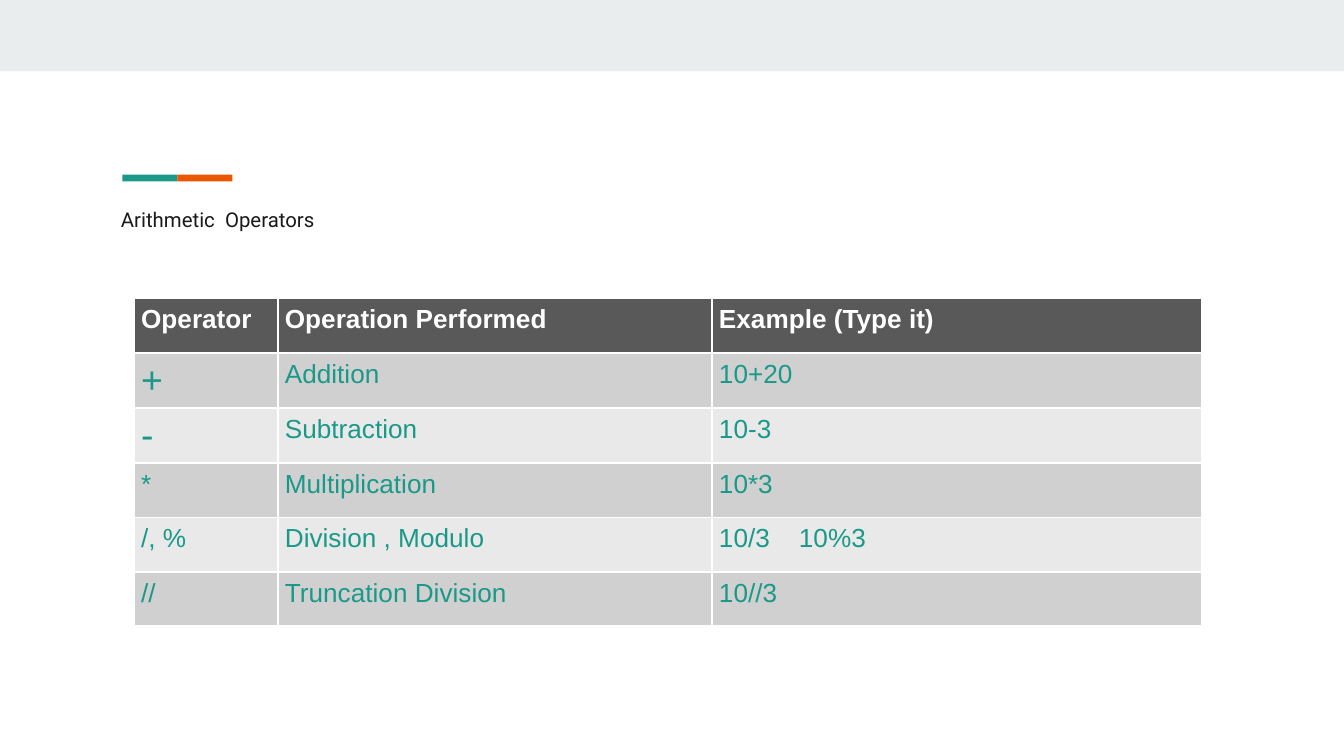
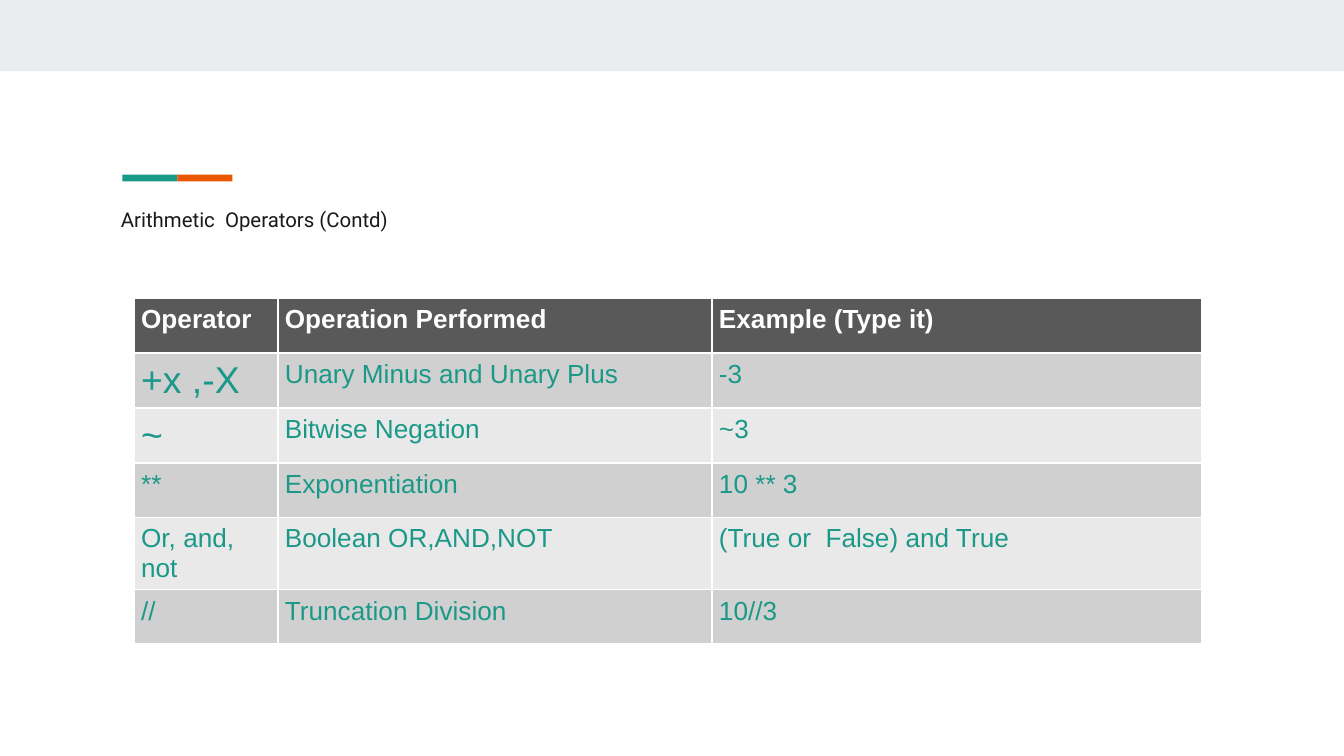
from dataclasses import dataclass

from lxml.etree import SubElement
from pptx import Presentation
from pptx.dml.color import RGBColor
from pptx.enum.shapes import MSO_SHAPE
from pptx.enum.text import MSO_ANCHOR, PP_ALIGN
from pptx.oxml.ns import qn
from pptx.util import Inches, Pt

HEADINGS = ("Operator", "Operation Performed", "Example (Type it)")
SLIDES = [
    ("Arithmetic  Operators\v", [
        ("+", "Addition", "10+20"),
        ("- ", "Subtraction", "10-3"),
        ("*", "Multiplication", "10*3"),
        ("/, %", "Division , Modulo", "10/3    10%3"),
        ("//", "Truncation Division", "10//3"),
    ]),
    ("Arithmetic  Operators (Contd)\v", [
        ("+x ,-X", "Unary Minus and Unary Plus", "-3"),
        ("~", "Bitwise Negation", "~3"),
        ("**", "Exponentiation", "10 ** 3"),
        ("Or, and, not", "Boolean OR,AND,NOT", "(True or  False) and True"),
        ("//", "Truncation Division", "10//3"),
    ]),
]
LARGE_SYMBOL_ROWS = (1, 2)
SLIDE_WIDTH = Inches(10)
SLIDE_HEIGHT = SLIDE_WIDTH * 9 // 16
COLUMN_WIDTHS = (1.07, 3.23, 3.64)
TABLE_HEIGHT = 2.43


@dataclass(frozen=True)
class Theme:
    """Colours, fonts and type sizes of the deck."""
    band: str = "E9EDEE"
    teal: str = "1A9988"
    orange: str = "EB5600"
    ink: str = "1A1A1A"
    white: str = "FFFFFF"
    header: str = "595959"
    stripes: tuple = ("E9E9E9", "D0D0D0")
    title_font: str = "Roboto"
    table_font: str = "Arial"
    title_size: float = 10.9
    cell_size: float = 14
    symbol_size: float = 20


THEME = Theme()


def style_text(paragraph, font_name, size, color, bold=False):
    """Format every run of a paragraph."""
    for run in paragraph.runs:
        font = run.font
        font.name, font.size, font.bold = font_name, Pt(size), bold
        font.color.rgb = RGBColor.from_string(color)


def add_bar(slide, left, top, width, height, color):
    """Add a plain filled rectangle."""
    shape = slide.shapes.add_shape(MSO_SHAPE.RECTANGLE, Inches(left), Inches(top),
                                   Inches(width), Inches(height))
    shape.shadow.inherit = False
    shape.fill.solid()
    shape.fill.fore_color.rgb = RGBColor.from_string(color)
    shape.line.fill.background()


def add_decoration(slide):
    """Draw the top band and the two-colour accent above the title."""
    add_bar(slide, 0, 0, 10, 0.53, THEME.band)
    for index, color in enumerate((THEME.teal, THEME.orange)):
        add_bar(slide, 0.91 + 0.41 * index, 1.3, 0.41, 0.05, color)


def set_title(slide, text):
    """Place, fill and format the title placeholder."""
    title = slide.shapes.title
    title.left, title.top = Inches(0.8), Inches(1.44)
    title.width, title.height = Inches(8.41), Inches(0.59)
    frame = title.text_frame
    frame.text = text
    frame.word_wrap = True
    frame.vertical_anchor = MSO_ANCHOR.TOP
    frame.margin_left = frame.margin_right = Inches(0.1)
    frame.margin_top = frame.margin_bottom = Inches(0.1)
    paragraph = frame.paragraphs[0]
    paragraph.alignment = PP_ALIGN.LEFT
    style_text(paragraph, THEME.title_font, THEME.title_size, THEME.ink)


def set_borders(cell, color):
    """Give a cell one-point borders, which must precede its fill."""
    properties = cell._tc.get_or_add_tcPr()
    for side in ("a:lnL", "a:lnR", "a:lnT", "a:lnB"):
        line = SubElement(properties, qn(side), w=str(Pt(1)))
        fill = SubElement(line, qn("a:solidFill"))
        SubElement(fill, qn("a:srgbClr"), val=color)


def fill_cell(cell, text, row, column):
    """Write a cell and style it by its place in the table."""
    is_header = row == 0
    is_symbol = column == 0 and row in LARGE_SYMBOL_ROWS
    cell.text_frame.text = text
    cell.margin_left = cell.margin_right = Inches(0.05)
    cell.margin_top = cell.margin_bottom = Inches(0.05)
    set_borders(cell, THEME.white)
    cell.fill.solid()
    cell.fill.fore_color.rgb = RGBColor.from_string(
        THEME.header if is_header else THEME.stripes[row % 2])
    style_text(cell.text_frame.paragraphs[0], THEME.table_font,
               THEME.symbol_size if is_symbol else THEME.cell_size,
               THEME.white if is_header else THEME.teal, bold=is_header)


def add_operator_table(slide, operators):
    """Add the table of operators below the title."""
    rows = [HEADINGS, *operators]
    table = slide.shapes.add_table(
        len(rows), len(HEADINGS), Inches(1), Inches(2.22),
        Inches(sum(COLUMN_WIDTHS)), Inches(TABLE_HEIGHT)).table
    for column, width in zip(table.columns, COLUMN_WIDTHS):
        column.width = Inches(width)
    for row, texts in enumerate(rows):
        for column, text in enumerate(texts):
            fill_cell(table.cell(row, column), text, row, column)


def build():
    """Build and save the presentation."""
    presentation = Presentation()
    presentation.slide_width = SLIDE_WIDTH
    presentation.slide_height = SLIDE_HEIGHT
    title_only = presentation.slide_layouts[5]
    for title, operators in SLIDES:
        slide = presentation.slides.add_slide(title_only)
        add_decoration(slide)
        set_title(slide, title)
        add_operator_table(slide, operators)
    presentation.save("out.pptx")


build()
